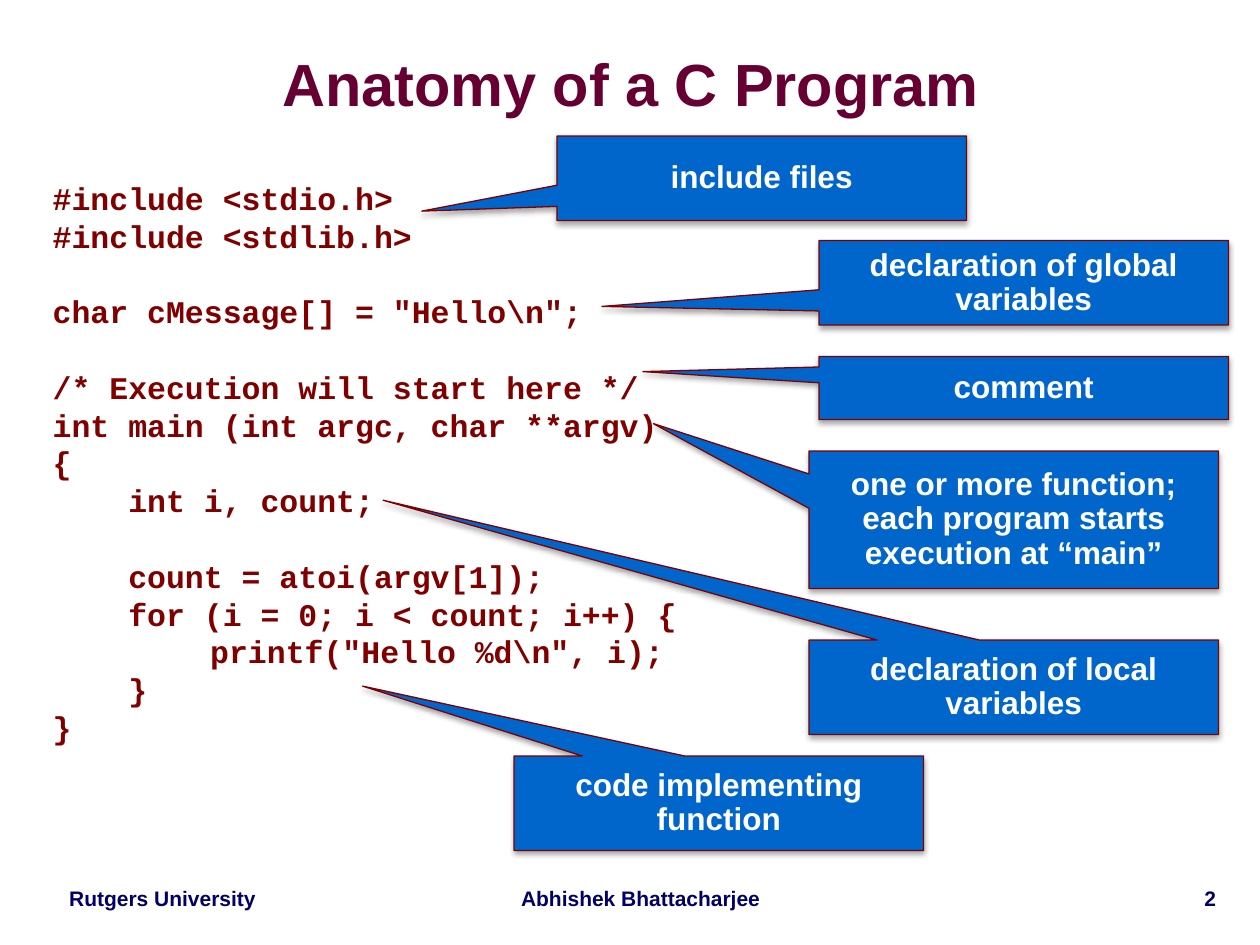
import pptx
import pptx.dml.color
import pptx.enum.shapes
import pptx.enum.text
import pptx.oxml
import pptx.oxml.ns
import pptx.util

ALIGN = pptx.enum.text.PP_ALIGN
ANCHOR = pptx.enum.text.MSO_ANCHOR
inches = pptx.util.Inches


def color(hex_value):
    return pptx.dml.color.RGBColor.from_string(hex_value)


def write(shape, text, font, size, hex_value, align, spacing):
    frame = shape.text_frame
    frame.text = text
    frame.word_wrap = True
    for paragraph in frame.paragraphs:
        paragraph.alignment = align
        paragraph.line_spacing = spacing
        for run in paragraph.runs:
            run.font.name = font
            run.font.size = pptx.util.Pt(size)
            run.font.bold = True
            run.font.color.rgb = color(hex_value)
    return frame


presentation = pptx.Presentation()
presentation.slide_width = inches(10)
presentation.slide_height = inches(7.5)
slide = presentation.slides.add_slide(presentation.slide_layouts[5])

# Footer: left, width, top-aligned on one row
footers = [
    ("Rutgers University", 0.33, 1.92, ALIGN.CENTER),
    ("Abhishek Bhattacharjee", 4, 2.17, ALIGN.CENTER),
    ("2", 8.17, 1.58, ALIGN.RIGHT),
]
for text, left, width, align in footers:
    footer = slide.shapes.add_textbox(inches(left), inches(7), inches(width), inches(0.28))
    write(footer, text, "Arial", 12, "000066", align, 0.9)

# Title
title = slide.shapes.title
title.left, title.top = inches(0.31), inches(0.27)
title.width, title.height = inches(9.39), inches(0.85)
frame = write(title, "Anatomy of a C Program", "Arial", 34, "660033", ALIGN.CENTER, 0.87)
frame.auto_size = pptx.enum.text.MSO_AUTO_SIZE.NONE
frame.vertical_anchor = ANCHOR.MIDDLE
frame.margin_left = frame.margin_right = frame.margin_top = frame.margin_bottom = 0

# Code: blocks are set apart by one line of space
code_blocks = [
    "#include <stdio.h>\n#include <stdlib.h>",
    'char cMessage[] = "Hello\\n";',
    "/* Execution will start here */\nint main (int argc, char **argv)\n{\n    int i, count;",
    "    count = atoi(argv[1]);\n    for (i = 0; i < count; i++) {\n"
    '\t     printf("Hello %d\\n", i);\n    }\n}',
]
line_height = pptx.util.Pt(21.6)
code = slide.shapes.add_textbox(inches(0.32), inches(1.37), inches(9.43), inches(5.5))
frame = write(code, "\n".join(code_blocks), "Courier New", 18, "800000", ALIGN.LEFT, line_height)
first_line = 0
for block in code_blocks[:-1]:
    first_line += len(block.split("\n"))
    frame.paragraphs[first_line].space_before = line_height

# Callouts: text, left, top, height, pointer offset as shares of the box
callouts = [
    ("include files", 4.42, 1.08, 0.67, (-0.83, 0.39)),
    ("declaration of global variables", 6.5, 1.91, 0.67, (-1.03, 0.28)),
    ("one or more function;\neach program starts execution at “main”", 6.42, 3.58, 1.09, (-0.88, -0.7)),
    ("declaration of local variables", 6.42, 5.08, 0.75, (-1.54, -1.98)),
    ("code implementing function", 4.08, 6, 0.75, (-0.87, -1.24)),
    ("comment", 6.5, 2.83, 0.5, (-0.93, -0.26)),
]
shadow_xml = (
    f'<a:effectLst {pptx.oxml.ns.nsdecls("a")}>'
    '<a:outerShdw blurRad="40000" dist="23000" dir="5400000" rotWithShape="0">'
    '<a:srgbClr val="000000"><a:alpha val="35000"/></a:srgbClr>'
    "</a:outerShdw></a:effectLst>"
)
for text, left, top, height, pointer in callouts:
    callout = slide.shapes.add_shape(
        pptx.enum.shapes.MSO_SHAPE.RECTANGULAR_CALLOUT,
        inches(left), inches(top), inches(3.25), inches(height))
    callout.adjustments[0], callout.adjustments[1] = pointer
    callout.fill.solid()
    callout.fill.fore_color.rgb = color("0066CC")
    callout.line.color.rgb = color("7D0000")
    callout.line.width = pptx.util.Pt(0.75)
    callout._element.spPr.append(pptx.oxml.parse_xml(shadow_xml))
    frame = write(callout, text, "Arial", 18, "FFFFFF", ALIGN.CENTER, 0.9)
    frame.vertical_anchor = ANCHOR.MIDDLE

presentation.save("out.pptx")
